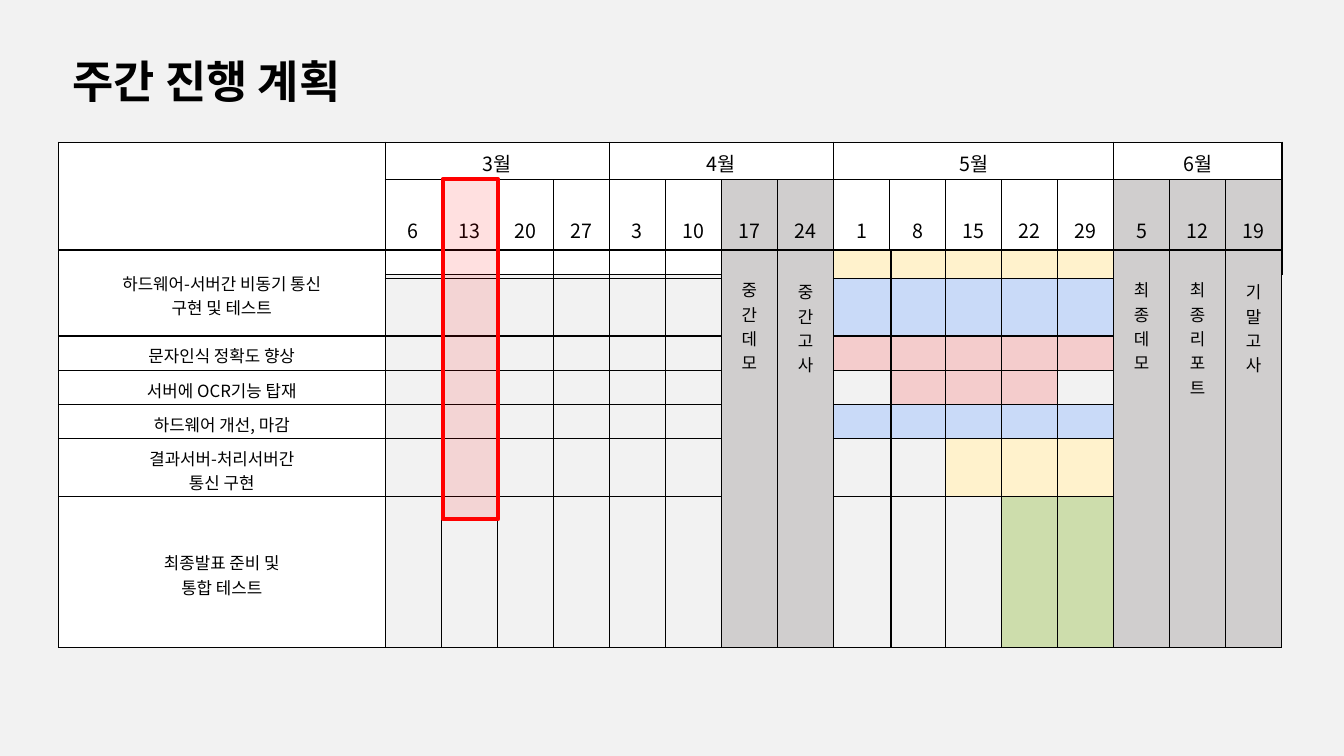
from lxml.etree import SubElement as Sub
from pptx import Presentation
from pptx.dml.color import RGBColor as Rgb
from pptx.enum.shapes import MSO_SHAPE as Shape
from pptx.enum.text import MSO_ANCHOR as Anchor, PP_ALIGN as Align
from pptx.oxml import parse_xml
from pptx.oxml.ns import nsdecls, qn
from pptx.util import Inches, Pt

HUES = {
    "back": "F2F2F2", "ink": "000000", "white": "FFFFFF", "gray": "D0CECE",
    "cream": "FFF2CC", "blue": "C9DAF8", "pink": "F4CCCC",
    "green": "CDDDAC", "red": "FF0000",
}
MONTHS = [
    ("3월", [6, 13, 20, 27]),
    ("4월", [3, 10, 17, 24]),
    ("5월", [1, 8, 15, 22, 29]),
    ("6월", [5, 12, 19]),
]
# Label, colour, first and last marked column
TASKS = [
    ("하드웨어-서버간 비동기 통신\n구현 및 테스트", "cream", 9, 13),
    ("", "blue", 9, 13),
    ("문자인식 정확도 향상", "pink", 9, 13),
    ("서버에 OCR기능 탑재", "pink", 10, 12),
    ("하드웨어 개선, 마감", "blue", 9, 13),
    ("결과서버-처리서버간\n통신 구현", "cream", 11, 13),
    ("최종발표 준비 및\n통합 테스트", "green", 12, 13),
]
# Column: text, side margin, top margin
EVENTS = {
    7: ("중간데모", 0.03, 0.27),
    8: ("중간고사", 0.1, 0.29),
    14: ("최종데모", 0.03, 0.27),
    15: ("최종리포트", 0.03, 0.27),
    16: ("기말고사", 0.1, 0.29),
}
LEFT, WIDE, WEEK = 0.58, 3.24, 0.556
HEAD_ROWS = [0.37, 0.94]
TASK_ROWS = [0.28, 0.54, 0.34, 0.34, 0.34, 0.54, 1.3]


class Deck:
    font = "Noto Sans CJK KR"

    def __init__(self):
        self.prs = Presentation()
        self.prs.slide_width = Inches(13.33)
        self.prs.slide_height = Inches(7.5)
        self.slide = self.prs.slides.add_slide(self.prs.slide_layouts[5])
        self.paint(self.slide.background.fill, "back")

    def paint(self, fill, hue):
        fill.solid()
        fill.fore_color.rgb = Rgb.from_string(HUES[hue])

    def label(self, frame, text, size, align, bold=False):
        frame.text = text
        for para in frame.paragraphs:
            para.alignment = align
            for run in para.runs:
                font = run.font
                font.size, font.bold, font.name = Pt(size), bold, self.font
                font.color.rgb = Rgb.from_string(HUES["ink"])
                Sub(run._r.rPr, qn("a:ea"), typeface=self.font)

    def title(self, text, box):
        shape = self.slide.shapes.title
        shape.left, shape.top, shape.width, shape.height = map(Inches, box)
        self.label(shape.text_frame, text, 32, Align.LEFT, True)
        shape.text_frame.vertical_anchor = Anchor.MIDDLE

    def grid(self, top, cols, rows):
        """Add a bordered table of unfilled cells that take little height."""
        table = self.slide.shapes.add_table(
            len(rows), len(cols), Inches(LEFT), Inches(top),
            Inches(sum(cols)), Inches(sum(rows))).table
        table.first_row = table.horz_banding = False
        for col, width in zip(table.columns, cols):
            col.width = Inches(width)
        for row, height in zip(table.rows, rows):
            row.height = Inches(height)
        for cell in table.iter_cells():
            cell.fill.background()
            cell.margin_top = cell.margin_bottom = Inches(0.02)
            Sub(cell.text_frame.paragraphs[0]._p, qn("a:endParaRPr"), sz="800")
            for spot, side in enumerate("LRTB"):
                cell._tc.tcPr.insert(spot, parse_xml(
                    f'<a:ln{side} {nsdecls("a")} w="12700"><a:solidFill>'
                    f'<a:srgbClr val="{HUES["ink"]}"/></a:solidFill></a:ln{side}>'))
        return table

    def fill(self, cell, hue, text="", size=12, side=0.07, top=0.07, anchor=Anchor.MIDDLE):
        self.paint(cell.fill, hue)
        if text:
            cell.margin_left = cell.margin_right = Inches(side)
            cell.margin_top = Inches(top)
            cell.vertical_anchor = anchor
            self.label(cell.text_frame, text, size, Align.CENTER)

    def frame(self, hue, box, alpha):
        shape = self.slide.shapes.add_shape(Shape.RECTANGLE, *map(Inches, box))
        shape.shadow.inherit = False
        self.paint(shape.fill, hue)
        tint = shape._element.spPr.find(qn("a:solidFill"))[0]
        Sub(tint, qn("a:alpha"), val=str(alpha * 1000))
        self.paint(shape.line.fill, hue)
        shape.line.width = Pt(3)


def main():
    deck = Deck()
    deck.title("주간 진행 계획", (0.62, 0.48, 10.54, 0.64))

    head = deck.grid(1.41, [WIDE] + [WEEK] * 16, HEAD_ROWS)
    head.cell(0, 0).merge(head.cell(1, 0))
    deck.fill(head.cell(0, 0), "white")
    col = 1
    for month, days in MONTHS:
        head.cell(0, col).merge(head.cell(0, col + len(days) - 1))
        deck.fill(head.cell(0, col), "white", month, 14, anchor=Anchor.TOP)
        for day in days:
            hue = "gray" if col in EVENTS else "white"
            deck.fill(head.cell(1, col), hue, str(day), 14)
            col += 1

    weeks = [WEEK] * 8 + [0.57, 0.54] + [WEEK] * 6
    plan = deck.grid(2.48, [WIDE] + weeks, TASK_ROWS)
    plan.cell(0, 0).merge(plan.cell(1, 0))
    for row, (label, hue, first, last) in enumerate(TASKS):
        if label:
            deck.fill(plan.cell(row, 0), "white", label)
        for col in range(first, last + 1):
            deck.fill(plan.cell(row, col), hue)
    for col, (text, side, top) in EVENTS.items():
        plan.cell(0, col).merge(plan.cell(len(TASKS) - 1, col))
        deck.fill(plan.cell(0, col), "gray", "\n".join(text), 12, side, top, Anchor.TOP)

    deck.frame("red", (4.39, 1.78, 0.55, 3.37), 12)
    deck.prs.save("out.pptx")


if __name__ == "__main__":
    main()
